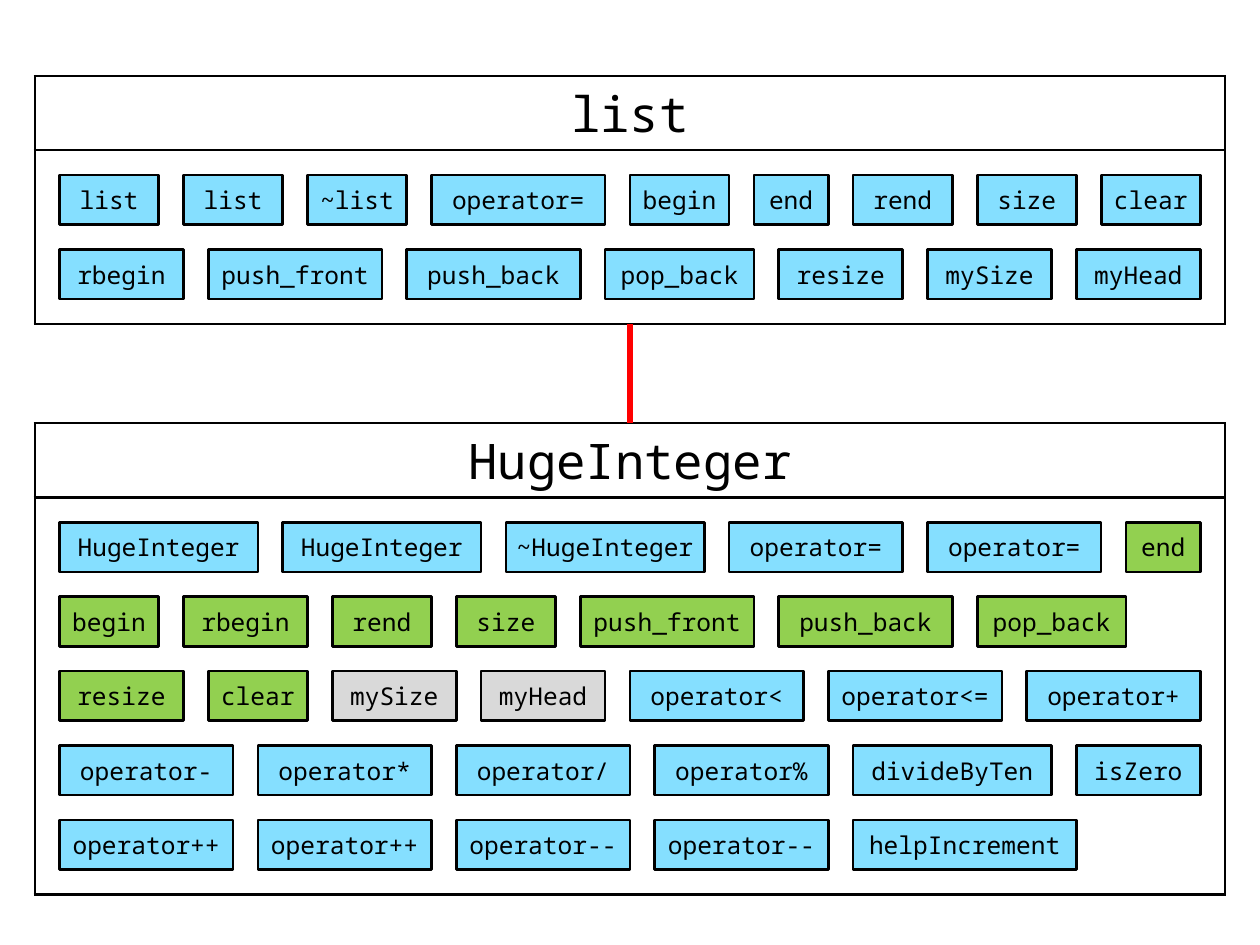
from math import ceil

from lxml.etree import SubElement
from pptx import Presentation
from pptx.dml.color import RGBColor
from pptx.enum.shapes import MSO_CONNECTOR, MSO_SHAPE
from pptx.enum.text import MSO_ANCHOR, PP_ALIGN
from pptx.oxml.ns import qn
from pptx.util import Cm, Pt

COLORS = {
    "own": "85DFFF",
    "inherited": "92D050",
    "hidden": "D9D9D9",
    "ink": "000000",
    "paper": "FFFFFF",
    "link": "FF0000",
}
FONT = "Noto Sans Mono"
LEFT, WIDTH = 0.7, 24
HEADER, MEMBER_HEIGHT, GAP = 1.5, 1, 0.5
LIST_TOP, LIST_HEIGHT = 1.53, 5
HUGE_TOP, HUGE_HEIGHT = 8.53, 9.5

LIST_ROWS = [
    [("own", "list list ~list operator= begin end rend size clear")],
    [("own", "rbegin push_front push_back pop_back resize mySize myHead")],
]
HUGE_ROWS = [
    [("own", "HugeInteger HugeInteger ~HugeInteger operator= operator="),
     ("inherited", "end")],
    [("inherited", "begin rbegin rend size push_front push_back pop_back")],
    [("inherited", "resize clear"), ("hidden", "mySize myHead"),
     ("own", "operator< operator<= operator+")],
    [("own", "operator- operator* operator/ operator% divideByTen isZero")],
    [("own", "operator++ operator++ operator-- operator-- helpIncrement")],
]


def color(key):
    """Return the named palette colour."""
    return RGBColor.from_string(COLORS[key])


def paint(target, key):
    """Give a shape, cell or line a solid fill."""
    target.fill.solid()
    target.fill.fore_color.rgb = color(key)


def write(frame, text, size):
    """Write one centred line of monospaced text."""
    paragraph = frame.paragraphs[0]
    paragraph.alignment = PP_ALIGN.CENTER
    run = paragraph.add_run()
    run.text = text
    for name, value in {"name": FONT, "size": Pt(size), "bold": False}.items():
        setattr(run.font, name, value)
    run.font.color.rgb = color("ink")


def add_borders(cell):
    """Outline all four sides of a table cell."""
    properties = cell._tc.get_or_add_tcPr()
    for index, side in enumerate(("lnL", "lnR", "lnT", "lnB")):
        border = properties.makeelement(qn(f"a:{side}"), {"w": str(Pt(1.5))})
        fill = SubElement(border, qn("a:solidFill"))
        SubElement(fill, qn("a:srgbClr"), val=COLORS["ink"])
        properties.insert(index, border)


def add_member(slide, name, kind, left, top, width):
    """Draw one class member as a coloured rectangle."""
    member = slide.shapes.add_shape(
        MSO_SHAPE.RECTANGLE, Cm(left), Cm(top), Cm(width), Cm(MEMBER_HEIGHT))
    member.shadow.inherit = False
    paint(member, kind)
    member.line.color.rgb = color("ink")
    member.line.width = Pt(1.5)
    frame = member.text_frame
    layout = {"word_wrap": False, "vertical_anchor": MSO_ANCHOR.MIDDLE,
              "margin_top": Cm(0.1), "margin_bottom": Cm(0.1)}
    for key, value in layout.items():
        setattr(frame, key, value)
    write(frame, name, 14)


def add_class(slide, title, rows, left, top, width, height):
    """Draw a class table with its members flowing in rows inside it."""
    table = slide.shapes.add_table(
        2, 1, Cm(left), Cm(top), Cm(width), Cm(height)).table
    table.rows[0].height = Cm(HEADER)
    table.rows[1].height = Cm(height - HEADER)
    for cell in table.iter_cells():
        paint(cell, "paper")
        add_borders(cell)
    header = table.cell(0, 0)
    for key, value in {"vertical_anchor": MSO_ANCHOR.MIDDLE,
                       "margin_top": 0, "margin_bottom": 0}.items():
        setattr(header, key, value)
    write(header.text_frame, title, 28)

    for index, groups in enumerate(rows):
        member_left = left + GAP
        member_top = top + HEADER + GAP + index * (MEMBER_HEIGHT + GAP)
        for kind, names in groups:
            for name in names.split():
                member_width = ceil((3 * len(name) + 4) / 5) / 2
                add_member(slide, name, kind, member_left, member_top, member_width)
                member_left += member_width + GAP


def add_inheritance(slide, x, start, end):
    """Join two classes with a vertical red line."""
    link = slide.shapes.add_connector(
        MSO_CONNECTOR.STRAIGHT, Cm(x), Cm(start), Cm(x), Cm(end))
    link.line.color.rgb = color("link")
    link.line.width = Pt(3)
    SubElement(link._element.spPr, qn("a:effectLst"))


def main():
    """Build the class diagram and save it."""
    presentation = Presentation()
    presentation.slide_width = Cm(25.4)
    presentation.slide_height = Cm(19.05)
    slide = presentation.slides.add_slide(presentation.slide_layouts[6])
    add_class(slide, "HugeInteger", HUGE_ROWS, LEFT, HUGE_TOP, WIDTH, HUGE_HEIGHT)
    add_class(slide, "list", LIST_ROWS, LEFT, LIST_TOP, WIDTH, LIST_HEIGHT)
    add_inheritance(slide, LEFT + WIDTH / 2, HUGE_TOP, LIST_TOP + LIST_HEIGHT)
    presentation.save("out.pptx")


if __name__ == "__main__":
    main()
